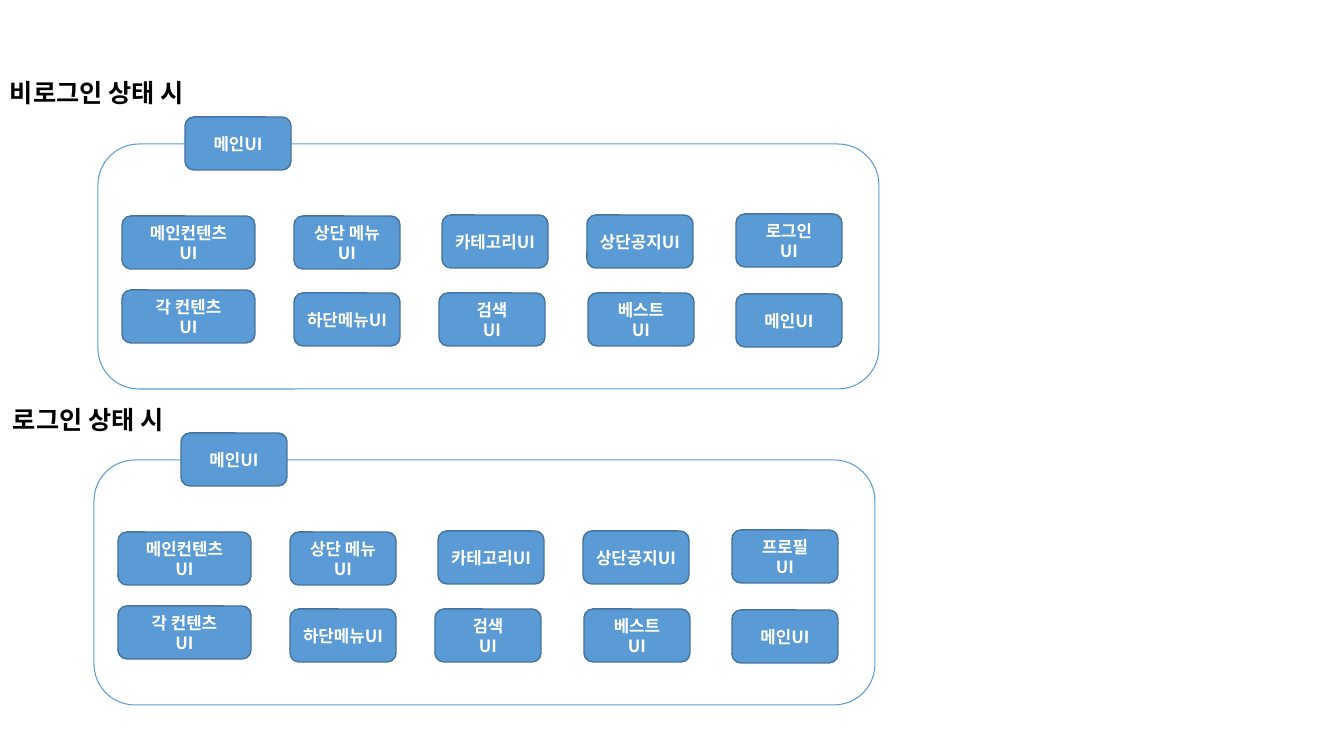
from lxml import etree
from pptx import Presentation
from pptx import util as u
from pptx.dml.color import RGBColor
from pptx.enum import shapes, text
from pptx.oxml import ns

PX = 9144000 / 1008


def px(*lengths):
    return [u.Emu(round(length * PX)) for length in lengths]


def colour(value):
    return RGBColor.from_string(value)


class Sheet:
    """Draws the interface map on one slide in a single style."""

    font = "Noto Sans CJK KR"
    blue, edge, white, black = "5B9BD5", "43739E", "FFFFFF", "000000"

    def __init__(self, deck):
        self.slide = deck.slides.add_slide(deck.slide_layouts[6])
        self.group = None

    def start_group(self):
        self.group = self.slide.shapes.add_group_shape().shapes

    def label(self, frame, words, size, ink, align, **format_values):
        frame.text = words
        for name, value in format_values.items():
            setattr(frame, name, value)
        for paragraph in frame.paragraphs:
            paragraph.alignment = align
            for run in paragraph.runs:
                looks = {"name": self.font, "size": u.Pt(size), "bold": True}
                for name, value in looks.items():
                    setattr(run.font, name, value)
                run.font.color.rgb = colour(ink)
                etree.SubElement(run._r.get_or_add_rPr(), ns.qn("a:ea"), typeface=self.font)

    def rounded(self, x, y, width, height, line, weight):
        outline = self.group.add_shape(
            shapes.MSO_SHAPE.ROUNDED_RECTANGLE, *px(x, y, width, height))
        outline.shadow.inherit = False
        outline.line.color.rgb = colour(line)
        outline.line.width = u.Pt(weight)
        return outline

    def frame(self, x, y, width, height):
        self.rounded(x, y, width, height, self.blue, 0.75).fill.background()

    def box(self, x, y, width, words):
        box = self.rounded(x, y, width, 53, self.edge, 1)
        box.fill.solid()
        box.fill.fore_color.rgb = colour(self.blue)
        self.label(box.text_frame, words, 12, self.white, text.PP_ALIGN.CENTER,
                   word_wrap=True, vertical_anchor=text.MSO_ANCHOR.MIDDLE)

    def heading(self, x, y, words):
        heading = self.slide.shapes.add_textbox(*px(x, y, 249, 40))
        self.label(heading.text_frame, words, 18, self.black, text.PP_ALIGN.LEFT,
                   word_wrap=True, auto_size=text.MSO_AUTO_SIZE.SHAPE_TO_FIT_TEXT)


WIDE, NARROW = 133, 106
MENUS = [
    (24, 72, WIDE, "메인컨텐츠\nUI"),
    (196, 72, NARROW, "상단 메뉴UI"),
    (344, 71, NARROW, "카테고리UI"),
    (489, 71, NARROW, "상단공지UI"),
    (24, 146, WIDE, "각 컨텐츠\nUI"),
    (196, 149, NARROW, "하단메뉴UI"),
    (341, 149, NARROW, "검색\nUI"),
    (490, 149, NARROW, "베스트\nUI"),
    (638, 150, NARROW, "메인UI"),
    (87, -27, NARROW, "메인UI"),
]
STATES = [
    (98, 144, "로그인\nUI", (0, 72, "비로그인 상태 시")),
    (94, 460, "프로필\nUI", (3, 399, "로그인 상태 시")),
]


def main():
    deck = Presentation()
    deck.slide_width, deck.slide_height = px(1344, 756)
    sheet = Sheet(deck)
    for left, top, account, title in STATES:
        sheet.start_group()
        sheet.frame(left, top, 781, 245)
        for x, y, width, words in MENUS + [(638, 70, NARROW, account)]:
            sheet.box(left + x, top + y, width, words)
        sheet.heading(*title)
    deck.save("out.pptx")


if __name__ == "__main__":
    main()
